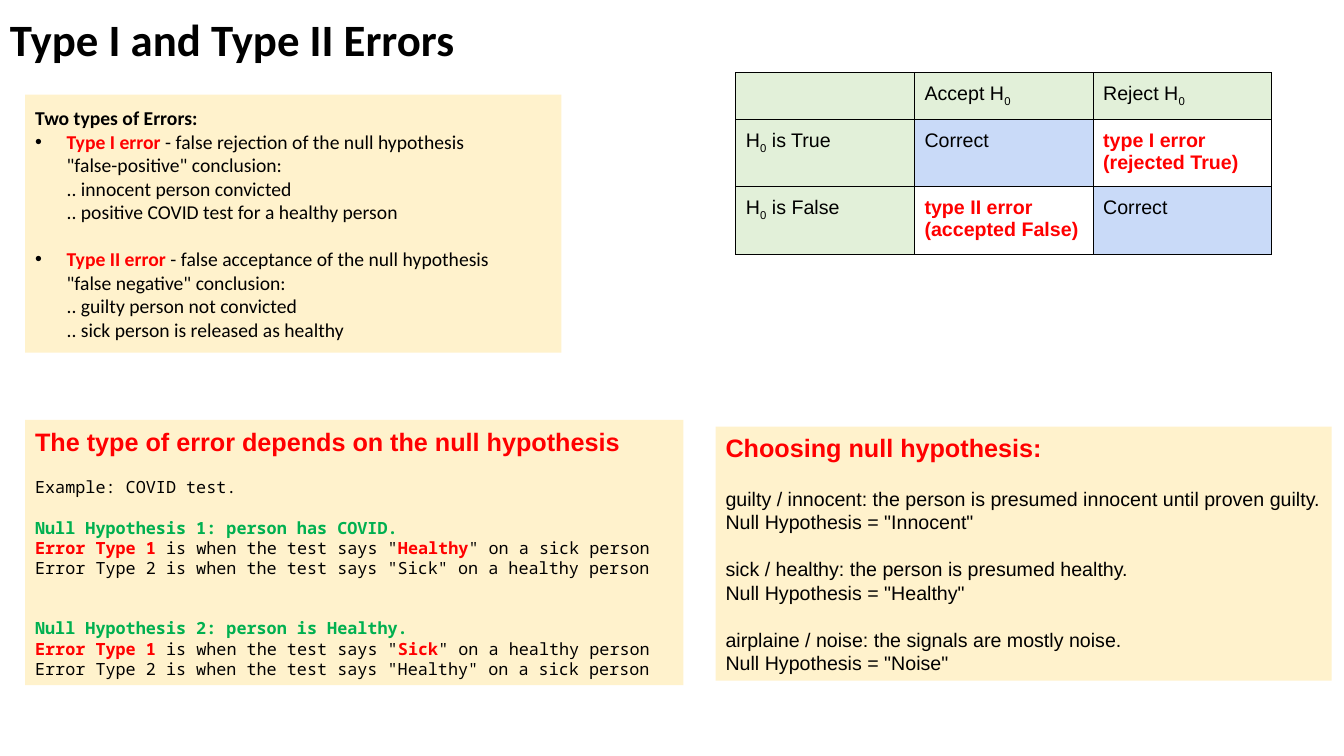
from lxml.etree import SubElement
from pptx import Presentation
from pptx.dml.color import RGBColor
from pptx.enum.shapes import MSO_SHAPE
from pptx.enum.text import MSO_ANCHOR, PP_ALIGN
from pptx.oxml.ns import qn
from pptx.util import Pt

# Run styles: colour, bold
STYLES = {
    "plain": ("000000", False),
    "strong": ("000000", True),
    "red": ("FF0000", True),
    "green": ("00B050", True),
    "sub": ("000000", False),
}


def rgb(value):
    return RGBColor.from_string(value)


def write(paragraph, size, font, runs):
    """Fill a paragraph with (style, text) runs; a newline is a line break."""
    paragraph.alignment = PP_ALIGN.LEFT
    paragraph.font.size = Pt(size)
    paragraph.font.name = font
    for style, text in runs:
        color, bold = STYLES[style]
        for i, line in enumerate(text.split("\n")):
            if i:
                paragraph.add_line_break()
            run = paragraph.add_run()
            run.text = line
            run.font.color.rgb = rgb(color)
            run.font.bold = bold
            if style == "sub":
                run._r.get_or_add_rPr().set("baseline", "-25000")


prs = Presentation()
prs.slide_width, prs.slide_height = Pt(960), Pt(540)
slide = prs.slides.add_slide(prs.slide_layouts[6])

title = slide.shapes.add_textbox(Pt(0), Pt(5), Pt(359.3), Pt(46.8)).text_frame
title.word_wrap = True
write(title.paragraphs[0], 32, "Calibri", [("strong", "Type I and Type II Errors")])

# Panels: left, top, width, height, vertical inset,
# paragraphs of (blank space above, size, font, bulleted, runs)
MONO = "Noto Sans Mono"
error_types = [
    (0, 14, "Calibri", False, [("strong", "Two types of Errors:")]),
    (0, 14, "Calibri", True, [
        ("red", "Type I error"),
        ("plain", " - false rejection of the null hypothesis\n"
                  "\"false-positive\" conclusion:\n"
                  ".. innocent person convicted\n"
                  ".. positive COVID test for a healthy person")]),
    (16.8, 14, "Calibri", True, [
        ("red", "Type II error"),
        ("plain", " - false acceptance of the null hypothesis\n"
                  "\"false negative\" conclusion:\n"
                  ".. guilty person not convicted\n"
                  ".. sick person is released as healthy")]),
]

covid_example = [
    (0, 18, "Arial", False, [("red", "The type of error depends on the null hypothesis")]),
    (14.4, 12, MONO, False, [("plain", "Example: COVID test.")]),
]
for gap, number, claim, wrong, actual in [
    (14.4, 1, "has COVID", "Healthy", "sick"),
    (28.8, 2, "is Healthy", "Sick", "healthy"),
]:
    other_wrong, other_actual = ("Sick", "healthy") if number == 1 else ("Healthy", "sick")
    covid_example += [
        (gap, 12, MONO, False, [("green", f"Null Hypothesis {number}: person {claim}.")]),
        (0, 12, MONO, False, [
            ("red", "Error Type 1"), ("plain", " is when the test says \""),
            ("red", wrong), ("plain", f"\" on a {actual} person")]),
        (0, 12, MONO, False, [
            ("plain", f"Error Type 2 is when the test says \"{other_wrong}\" on a {other_actual} person")]),
    ]

choosing = [(0, 18, "Arial", False, [("red", "Choosing null hypothesis:")])]
for presumption, null in [
    ("guilty / innocent: the person is presumed innocent until proven guilty.", "Innocent"),
    ("sick / healthy: the person is presumed healthy.", "Healthy"),
    ("airplaine / noise: the signals are mostly noise.", "Noise"),
]:
    choosing += [
        (16.8, 14, "Arial", False, [("plain", presumption)]),
        (0, 14, "Arial", False, [("plain", f"Null Hypothesis = \"{null}\"")]),
    ]

for left, top, width, height, inset, paragraphs in [
    (18, 67.7, 383, 184.3, 7.2, error_types),
    (18, 300, 470.2, 189.4, 3.6, covid_example),
    (511.2, 304.8, 440, 181.4, 3.6, choosing),
]:
    panel = slide.shapes.add_shape(MSO_SHAPE.RECTANGLE, Pt(left), Pt(top), Pt(width), Pt(height))
    panel.shadow.inherit = False
    panel.fill.solid()
    panel.fill.fore_color.rgb = rgb("FFF2CC")
    panel.line.fill.background()
    frame = panel.text_frame
    frame.word_wrap = True
    frame.vertical_anchor = MSO_ANCHOR.MIDDLE
    frame.margin_top = frame.margin_bottom = Pt(inset)
    for i, (gap, size, font, bulleted, runs) in enumerate(paragraphs):
        paragraph = frame.add_paragraph() if i else frame.paragraphs[0]
        paragraph.line_spacing = Pt(size * 1.2)
        if gap:
            paragraph.space_before = Pt(gap)
        if bulleted:
            properties = paragraph._p.get_or_add_pPr()
            properties.set("marL", str(Pt(22.5)))
            properties.set("indent", str(-Pt(22.5)))
            bullet_color = SubElement(properties, qn("a:buClr"))
            SubElement(bullet_color, qn("a:srgbClr"), val="000000")
            SubElement(properties, qn("a:buFont"), typeface="Arial")
            SubElement(properties, qn("a:buChar"), char="•")
        write(paragraph, size, font, runs)

# Decision table: each cell is a fill and its paragraphs of runs
GREEN, BLUE = "E2F0D9", "C9DAF8"
correct = (BLUE, [[("plain", "Correct")]])
decisions = [
    [(GREEN, [[]]),
     (GREEN, [[("plain", "Accept H"), ("sub", "0")]]),
     (GREEN, [[("plain", "Reject H"), ("sub", "0")]])],
    [(GREEN, [[("plain", "H"), ("sub", "0"), ("plain", " is True")]]),
     correct,
     (None, [[("red", "type I error")], [("red", "(rejected True)")]])],
    [(GREEN, [[("plain", "H"), ("sub", "0"), ("plain", " is False")]]),
     (None, [[("red", "type II error")], [("red", "(accepted False)")]]),
     correct],
]
table = slide.shapes.add_table(3, 3, Pt(525.6), Pt(51.8), Pt(382.8), Pt(129.6)).table
table.first_row = table.horz_banding = False
for column in table.columns:
    column.width = Pt(127.6)
for row, height in zip(table.rows, (33.6, 48, 48)):
    row.height = Pt(height)

for r, row in enumerate(decisions):
    for c, (fill, paragraphs) in enumerate(row):
        cell = table.cell(r, c)
        cell.margin_left = cell.margin_right = cell.margin_top = cell.margin_bottom = Pt(7.2)
        for side in ("lnL", "lnR", "lnT", "lnB"):
            border = SubElement(cell._tc.get_or_add_tcPr(), qn(f"a:{side}"), w=str(Pt(0.75)))
            SubElement(SubElement(border, qn("a:solidFill")), qn("a:srgbClr"), val="000000")
        if fill:
            cell.fill.solid()
            cell.fill.fore_color.rgb = rgb(fill)
        else:
            cell.fill.background()
        for i, runs in enumerate(paragraphs):
            frame = cell.text_frame
            write(frame.add_paragraph() if i else frame.paragraphs[0], 14, "Arial", runs)

prs.save("out.pptx")
